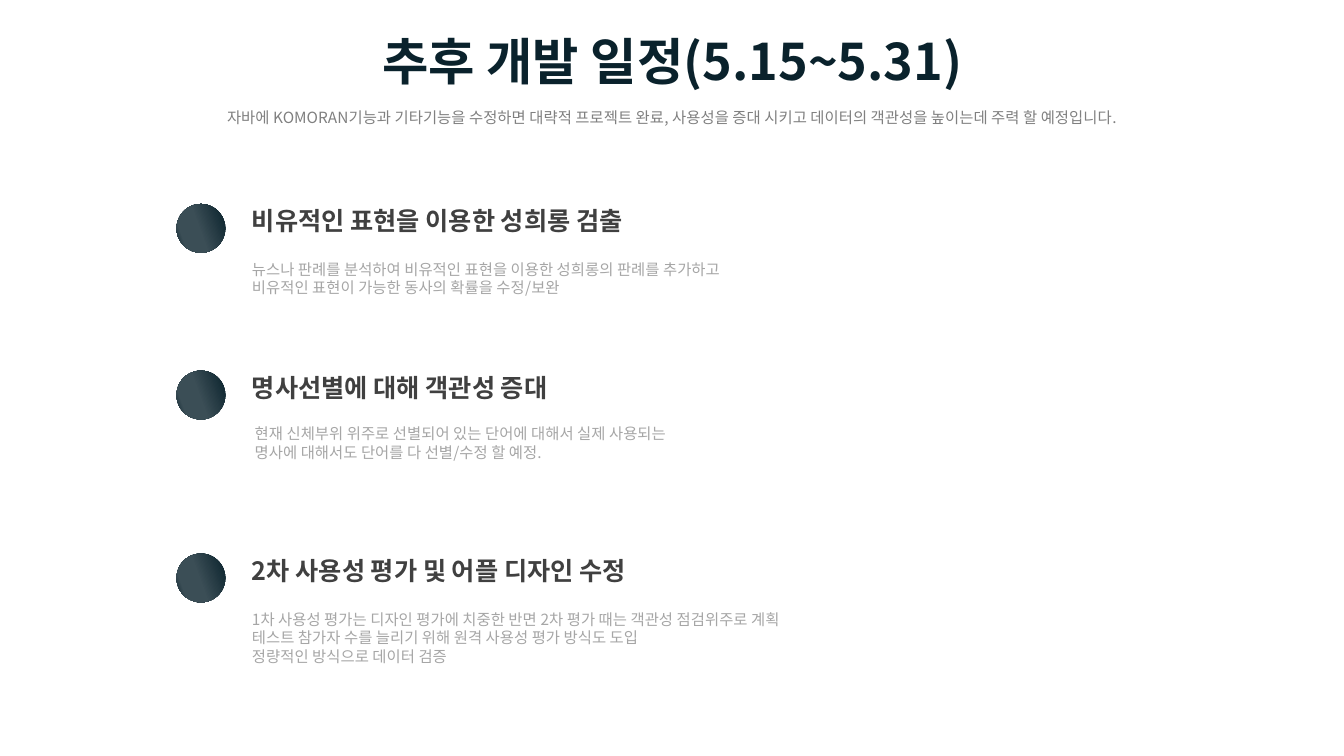
import pptx
import pptx.dml.color
import pptx.enum.shapes
import pptx.enum.text
import pptx.oxml
import pptx.oxml.ns
import pptx.util
from pptx.util import Cm

FONT = "Noto Sans CJK KR"
NAVY, SLATE = "0A222C", "3B4E56"
HEADING_GRAY, SUBTITLE_GRAY, DETAIL_GRAY = "404040", "808080", "A6A6A6"
CENTER = pptx.enum.text.PP_ALIGN.CENTER
LEFT = pptx.enum.text.PP_ALIGN.LEFT

MARKER_LEFT, MARKER_SIZE = 4.45, 1.23
HEADING_LEFT, HEADING_RISE = 6.1, 0.08

# marker top, heading, heading width, detail box (left, top, width, height), detail lines
PLANS = [
    (5.14, "비유적인 표현을 이용한 성희롱 검출", 11.28, (6.1, 6.43, 17.04, 1.19),
     ["뉴스나 판례를 분석하여 비유적인 표현을 이용한 성희롱의 판례를 추가하고",
      "비유적인 표현이 가능한 동사의 확률을 수정/보완"]),
    (9.34, "명사선별에 대해 객관성 증대", 8.89, (6.17, 10.57, 11.66, 1.19),
     ["현재 신체부위 위주로 선별되어 있는 단어에 대해서 실제 사용되는 "
      "명사에 대해서도 단어를 다 선별/수정 할 예정."]),
    (13.95, "2차 사용성 평가 및 어플 디자인 수정", 11.23, (6.1, 15.24, 17.35, 1.68),
     ["1차 사용성 평가는 디자인 평가에 치중한 반면 2차 평가 때는 객관성 점검위주로 계획",
      "테스트 참가자 수를 늘리기 위해 원격 사용성 평가 방식도 도입",
      "정량적인 방식으로 데이터 검증"]),
]


def rgb(color):
    return pptx.dml.color.RGBColor.from_string(color)


def write_text(frame, lines, size, color, bold=False, align=LEFT, spacing=None):
    for index, line in enumerate(lines):
        paragraph = frame.paragraphs[0] if index == 0 else frame.add_paragraph()
        paragraph.alignment = align
        if spacing is not None:
            paragraph.line_spacing = spacing
        run = paragraph.add_run()
        run.text = line
        run.font.size = pptx.util.Pt(size)
        run.font.bold = bold
        run.font.color.rgb = rgb(color)
        run.font.name = FONT
        # Hangul takes its typeface from the East Asian font
        east_asian = pptx.oxml.parse_xml(
            f'<a:ea {pptx.oxml.ns.nsdecls("a")} typeface="{FONT}"/>')
        run._r.get_or_add_rPr().append(east_asian)


def add_text(slide, box, lines, wrap=True, **text_format):
    frame = slide.shapes.add_textbox(*map(Cm, box)).text_frame
    frame.word_wrap = wrap
    frame.auto_size = pptx.enum.text.MSO_AUTO_SIZE.SHAPE_TO_FIT_TEXT
    write_text(frame, lines, **text_format)


def add_marker(slide, top):
    marker = slide.shapes.add_shape(
        pptx.enum.shapes.MSO_SHAPE.OVAL,
        Cm(MARKER_LEFT), Cm(top), Cm(MARKER_SIZE), Cm(MARKER_SIZE))
    marker.shadow.inherit = False
    marker.line.fill.background()
    marker.fill.gradient()
    marker.fill.gradient_angle = 200
    stops = marker._element.spPr.find(".//" + pptx.oxml.ns.qn("a:gsLst"))
    for stop in list(stops):
        stops.remove(stop)
    for percent, color in [(0, NAVY), (53, SLATE), (83, SLATE), (100, NAVY)]:
        stops.append(pptx.oxml.parse_xml(
            f'<a:gs {pptx.oxml.ns.nsdecls("a")} pos="{percent * 1000}">'
            f'<a:srgbClr val="{color}"/></a:gs>'))


def add_title(slide, title_text):
    title = slide.shapes.title
    title.left, title.top, title.width, title.height = map(Cm, (2.34, 0.48, 29.21, 2.26))
    title.text_frame.vertical_anchor = pptx.enum.text.MSO_ANCHOR.MIDDLE
    write_text(title.text_frame, [title_text], size=36, color=NAVY, bold=True,
               align=CENTER, spacing=0.9)


def add_plan(slide, top, heading, heading_width, detail_box, details):
    add_marker(slide, top)
    add_text(slide, (HEADING_LEFT, top - HEADING_RISE, heading_width, 1.02), [heading],
             wrap=False, size=18, color=HEADING_GRAY, bold=True)
    add_text(slide, detail_box, details, size=11, color=DETAIL_GRAY)


def main():
    presentation = pptx.Presentation()
    presentation.slide_width = Cm(33.87)
    presentation.slide_height = Cm(19.05)
    slide = presentation.slides.add_slide(presentation.slide_layouts[5])
    add_title(slide, "추후 개발 일정(5.15~5.31)")
    add_text(slide, (1.37, 2.51, 31.12, 0.79),
             ["자바에 KOMORAN기능과 기타기능을 수정하면 대략적 프로젝트 완료, "
              "사용성을 증대 시키고 데이터의 객관성을 높이는데 주력 할 예정입니다."],
             size=11, color=SUBTITLE_GRAY, align=CENTER, spacing=pptx.util.Pt(16))
    for plan in PLANS:
        add_plan(slide, *plan)
    presentation.save("out.pptx")


if __name__ == "__main__":
    main()
